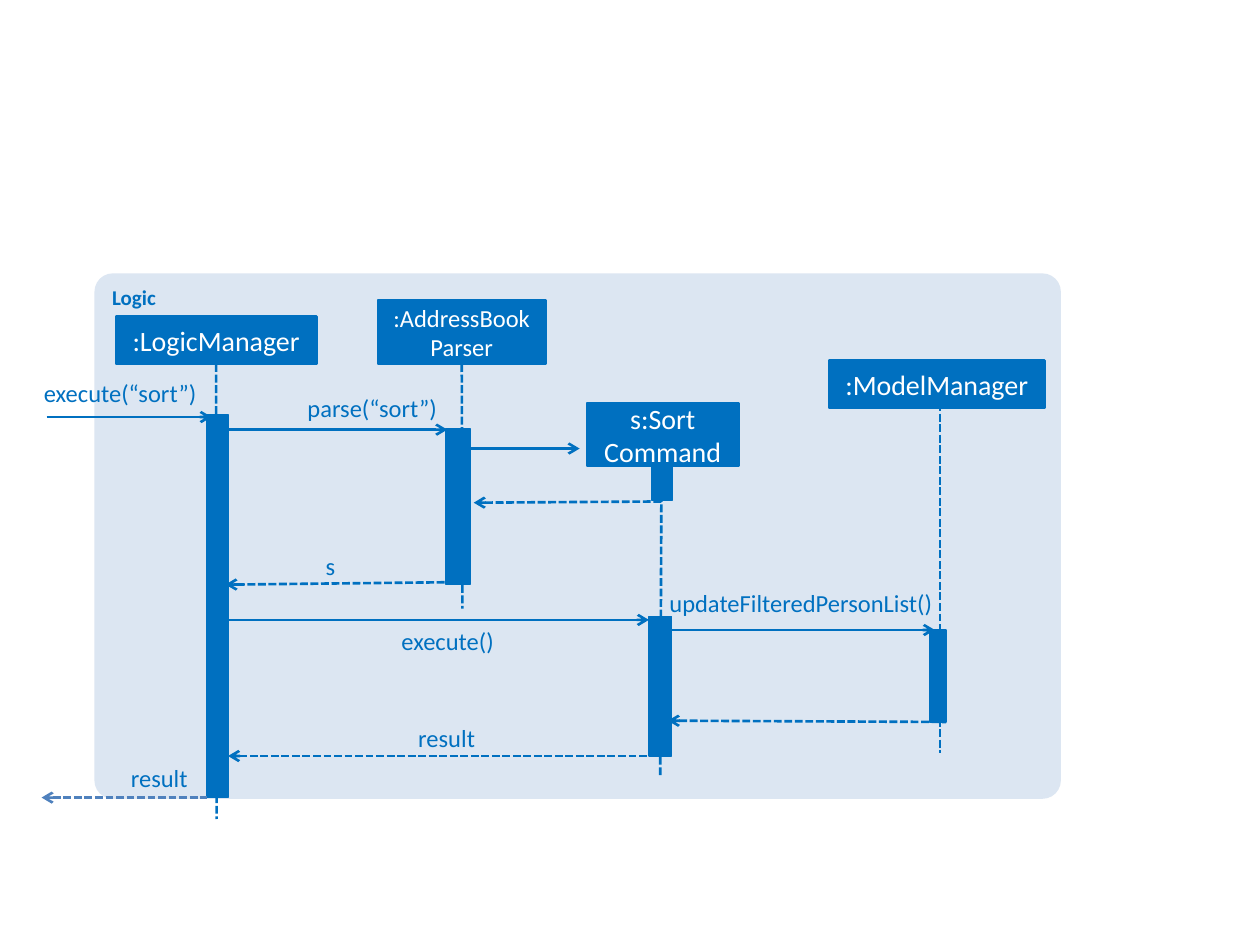
from dataclasses import dataclass

from lxml.etree import SubElement
from pptx import Presentation
from pptx.dml.color import RGBColor
from pptx.enum.dml import MSO_LINE
from pptx.enum.shapes import MSO_CONNECTOR, MSO_SHAPE
from pptx.enum.text import MSO_ANCHOR, MSO_AUTO_SIZE, PP_ALIGN
from pptx.oxml.ns import qn
from pptx.util import Inches, Pt


@dataclass(frozen=True)
class Theme:
    font: str = "Calibri"
    main: RGBColor = RGBColor(0x00, 0x70, 0xC0)
    outer: RGBColor = RGBColor(0x4F, 0x81, 0xBD)
    panel: RGBColor = RGBColor(0xDC, 0xE6, 0xF2)
    white: RGBColor = RGBColor(0xFF, 0xFF, 0xFF)
    frame_size: int = 12
    label_size: int = 14
    line: float = 1.5
    bar_line: float = 0.75


THEME = Theme()
FRAME = ("Logic", (0.75, 2.17, 7.67, 4.17))

PARTICIPANTS = [
    dict(name=":LogicManager", size=16, head=(0.92, 2.51, 1.59, 0.38),
         lifeline=(1.72, 2.91, 1.72, 6.5), joined=True,
         bars=[(1.64, 3.29, 0.17, 3.04)]),
    dict(name=":AddressBook Parser", size=14, head=(3, 2.38, 1.33, 0.51),
         lifeline=(3.67, 2.89, 3.67, 4.83), joined=True,
         bars=[(3.54, 3.4, 0.19, 1.24)]),
    dict(name="s:Sort\vCommand", size=16, head=(4.66, 3.2, 1.2, 0.5),
         lifeline=(5.25, 3.67, 5.24, 6.17), joined=False,
         bars=[(5.17, 3.67, 0.17, 0.3), (5.15, 4.89, 0.18, 1.11)]),
    dict(name=":ModelManager", size=16, head=(6.58, 2.86, 1.71, 0.38),
         lifeline=(7.46, 3.2, 7.46, 5.98), joined=False,
         bars=[(7.38, 5, 0.13, 0.73)]),
]

CALLS = [
    (0.37, 3.31, 1.68, 3.31),
    (1.81, 3.41, 3.55, 3.41),
    (3.7, 3.56, 4.6, 3.56),
    (1.81, 4.92, 5.15, 4.92),
    (5.28, 5, 7.42, 5),
]

RETURNS = [
    ((3.76, 3.99, 5.25, 3.98), THEME.main),
    ((1.79, 4.64, 3.67, 4.62), THEME.main),
    ((5.3, 5.72, 7.51, 5.73), THEME.main),
    ((1.81, 6, 5.24, 6), THEME.main),
    ((0.33, 6.33, 1.64, 6.33), THEME.outer),
]

LABEL_HEIGHT = 0.24
LABELS = [
    ("execute(“sort”)", 0, 3, 1.56),
    ("parse(“sort”)", 1.91, 3.12, 1.56),
    ("s", 1.98, 4.37, 0.68),
    ("updateFilteredPersonList()", 5.25, 4.67, 2.15),
    ("execute()", 3.11, 4.97, 0.81),
    ("result", 3.09, 5.74, 0.68),
    ("result", 0.66, 6.06, 0.83),
]


def inches(values):
    return [Inches(value) for value in values]


def write(shape, text, size, color, align, bold=False):
    shape.text_frame.word_wrap = True
    paragraph = shape.text_frame.paragraphs[0]
    paragraph.text = text
    paragraph.alignment = align
    font = paragraph.font
    font.name, font.size, font.bold = THEME.font, Pt(size), bold
    font.color.rgb = color


def add_block(slide, box, fill, line_width=None, kind=MSO_SHAPE.RECTANGLE):
    shape = slide.shapes.add_shape(kind, *inches(box))
    shape.shadow.inherit = False
    shape.fill.solid()
    shape.fill.fore_color.rgb = fill
    if line_width is None:
        shape.line.fill.background()
    else:
        shape.line.color.rgb = fill
        shape.line.width = Pt(line_width)
    return shape


def add_line(slide, ends, color=THEME.main, dashed=False, arrow=None):
    connector = slide.shapes.add_connector(MSO_CONNECTOR.STRAIGHT, *inches(ends))
    connector.line.color.rgb = color
    connector.line.width = Pt(THEME.line)
    if dashed:
        connector.line.dash_style = MSO_LINE.SQUARE_DOT
    if arrow:
        SubElement(connector.line._get_or_add_ln(), qn(f"a:{arrow}"), type="arrow")
    SubElement(connector._element.spPr, qn("a:effectLst"))
    return connector


def add_frame(slide):
    text, box = FRAME
    frame = add_block(slide, box, THEME.panel, kind=MSO_SHAPE.ROUNDED_RECTANGLE)
    frame.adjustments[0] = 0.035
    frame.text_frame.vertical_anchor = MSO_ANCHOR.TOP
    write(frame, text, THEME.frame_size, THEME.main, PP_ALIGN.LEFT, bold=True)


def add_participant(slide, participant):
    lifeline = add_line(slide, participant["lifeline"], dashed=True)
    for bar in participant["bars"]:
        add_block(slide, bar, THEME.main, THEME.bar_line)
    head = add_block(slide, participant["head"], THEME.main, THEME.line)
    head.text_frame.vertical_anchor = MSO_ANCHOR.MIDDLE
    write(head, participant["name"], participant["size"], THEME.white, PP_ALIGN.CENTER)
    if participant["joined"]:
        lifeline.begin_connect(head, 2)


def add_label(slide, text, left, top, width):
    label = slide.shapes.add_textbox(*inches((left, top, width, LABEL_HEIGHT)))
    frame = label.text_frame
    frame.margin_left = frame.margin_right = frame.margin_top = frame.margin_bottom = 0
    frame.auto_size = MSO_AUTO_SIZE.SHAPE_TO_FIT_TEXT
    write(label, text, THEME.label_size, THEME.main, PP_ALIGN.RIGHT)


def main():
    presentation = Presentation()
    presentation.slide_width, presentation.slide_height = inches((10, 7.5))
    slide = presentation.slides.add_slide(presentation.slide_layouts[6])
    add_frame(slide)
    for participant in PARTICIPANTS:
        add_participant(slide, participant)
    for ends in CALLS:
        add_line(slide, ends, arrow="tailEnd")
    for ends, color in RETURNS:
        add_line(slide, ends, color, dashed=True, arrow="headEnd")
    for label in LABELS:
        add_label(slide, *label)
    presentation.save("out.pptx")


if __name__ == "__main__":
    main()
